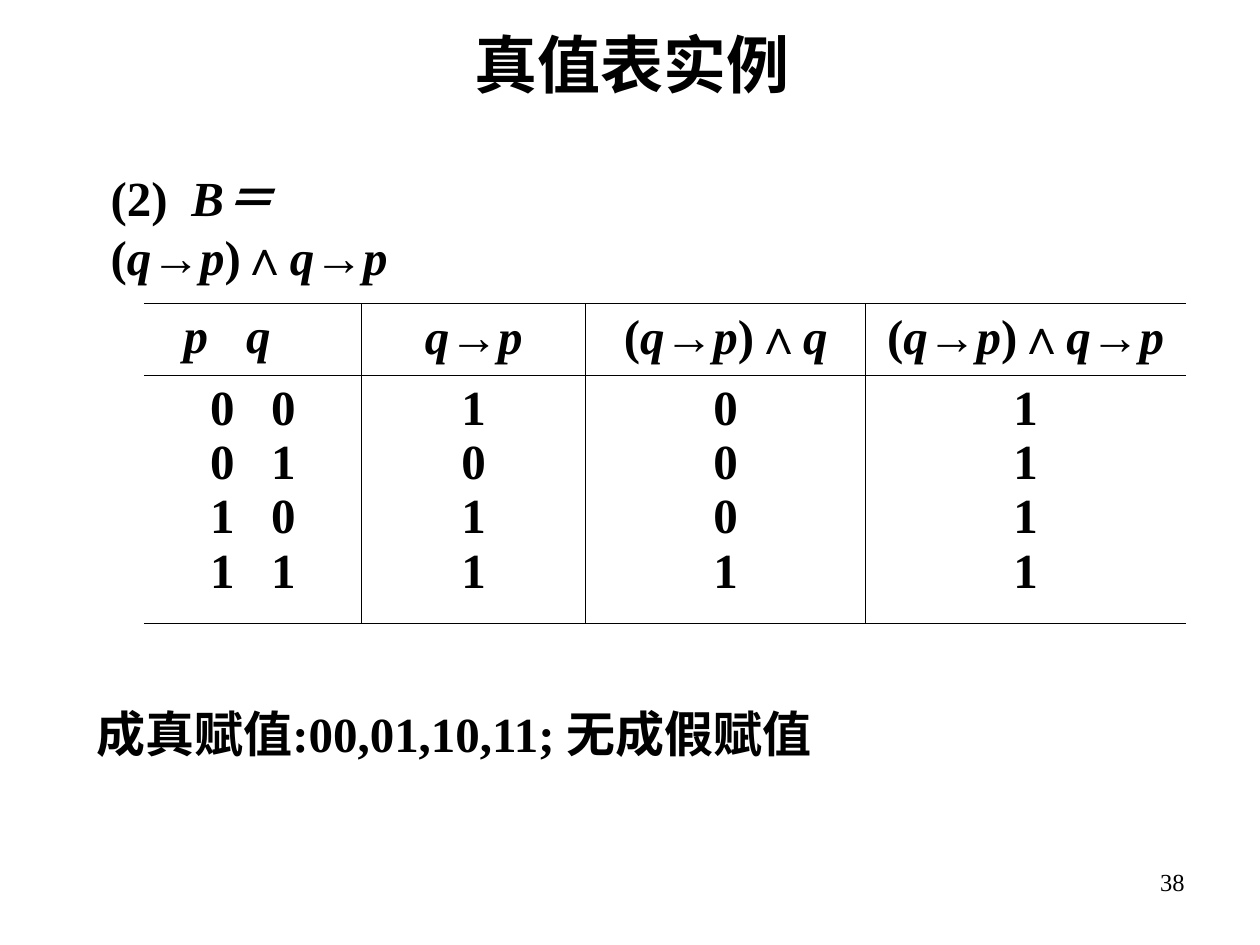
from itertools import groupby
from lxml.etree import SubElement
from pptx import Presentation
from pptx.dml.color import RGBColor
from pptx.enum.text import MSO_ANCHOR as ANCHOR, PP_ALIGN as ALIGN
from pptx.oxml.ns import qn
from pptx.util import Cm, Pt

COLORS = {"ink": "000000"}
SERIF, SANS = "Times New Roman", "Arial"


def write(p, text, size=28, bold=True, font=SERIF, math=False, align=None, tabs=()):
    """Add text to a paragraph; math sets variables italic and operators sans."""
    p.alignment = align
    if tabs:
        tab_list = SubElement(p._p.get_or_add_pPr(), qn("a:tabLst"))
        for pos in tabs:
            SubElement(tab_list, qn("a:tab"), pos=str(Cm(pos)), algn="l")

    def style(ch):
        return (math and ch in "pqB＝", SANS if math and ch in "→∧" else font)

    for (italic, name), chars in groupby(text, style):
        r = p.add_run()
        r.text = "".join(chars)
        r.font.size, r.font.name = Pt(size), name
        r.font.bold, r.font.italic = bold, italic
        r.font.color.rgb = RGBColor.from_string(COLORS["ink"])


def add_box(slide, left, top, width, height, wrap=False, anchor=ANCHOR.TOP):
    tf = slide.shapes.add_textbox(Cm(left), Cm(top), Cm(width), Cm(height)).text_frame
    tf.word_wrap, tf.vertical_anchor = wrap, anchor
    return tf.paragraphs[0]


prs = Presentation()
prs.slide_width, prs.slide_height = Cm(25.4), Cm(19.05)
s = prs.slides.add_slide(prs.slide_layouts[6])

# Formula
p = add_box(s, 1.98, 3.84, 8.81, 1.45, wrap=True, anchor=ANCHOR.MIDDLE)
write(p, "(2)\tB＝(q→p)∧q→p", math=True, tabs=[1.63])

# Conclusion
p = add_box(s, 1.7, 14.05, 15.44, 1.45, anchor=ANCHOR.MIDDLE)
write(p, "成真赋", font=SANS)
write(p, "值:00,01,10,11; 无成假赋值")

# Truth table
heads = ["\tp\tq", "q→p", "(q→p)∧q", "(q→p)∧q→p"]
values = [
    ["\t0\t0", "\t0\t1", "\t1\t0", "\t1\t1"],
    ["1", "0", "1", "1"],
    ["0", "0", "0", "1"],
    ["1", "1", "1", "1"],
]
widths, heights = [4.39, 4.52, 5.64, 6.45], [1.45, 5]
frame = s.shapes.add_table(2, 4, Cm(2.9), Cm(6.12), Cm(sum(widths)), Cm(sum(heights)))
table = frame.table
table.first_row = table.horz_banding = False
for col, width in zip(table.columns, widths):
    col.width = Cm(width)
for row, height in zip(table.rows, heights):
    row.height = Cm(height)

for c, (head, column) in enumerate(zip(heads, values)):
    for i, lines in enumerate([[head], column]):
        cell = table.cell(i, c)
        tf = cell.text_frame
        for n, line in enumerate(lines):
            p = tf.paragraphs[0] if n == 0 else tf.add_paragraph()
            if c == 0:
                tabs = [1.08, 2.31] if i else [0.55, 1.81]
                write(p, line, math=True, align=ALIGN.LEFT, tabs=tabs)
            else:
                write(p, line, math=True, align=ALIGN.CENTER)
        # Borders, open at the left and right ends
        tc_pr = cell._tc.get_or_add_tcPr()
        for side in ("lnL", "lnR", "lnT", "lnB"):
            ln = SubElement(tc_pr, qn("a:" + side), w=str(Pt(0.45)))
            if (side, c) in (("lnL", 0), ("lnR", 3)):
                SubElement(ln, qn("a:noFill"))
            else:
                fill = SubElement(ln, qn("a:solidFill"))
                SubElement(fill, qn("a:srgbClr"), val=COLORS["ink"])
        cell.fill.background()

# Title
p = add_box(s, 9.32, 0.38, 6.86, 1.78)
write(p, "真值表实例", size=36)

# Page number
p = add_box(s, 18.21, 17.35, 5.92, 1.32, wrap=True)
write(p, "38", size=14, bold=False, align=ALIGN.RIGHT)

prs.save("out.pptx")
